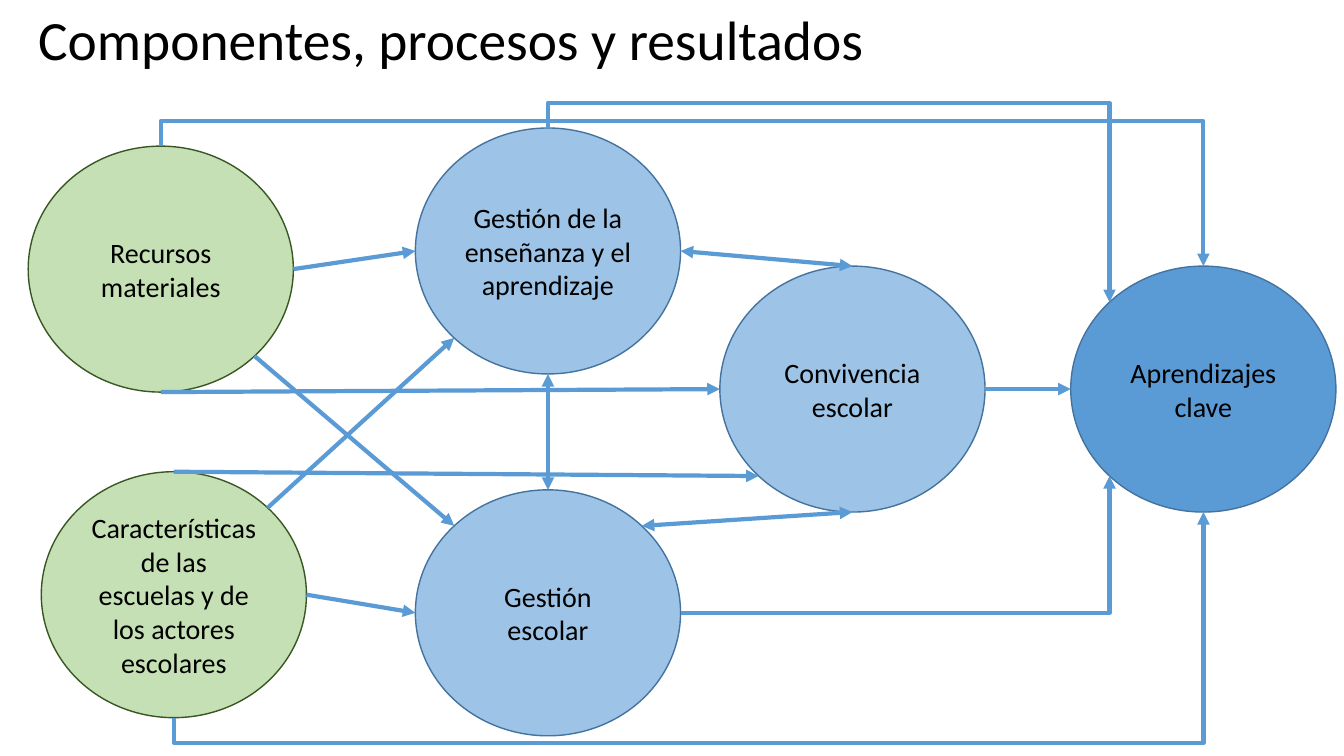
from math import cos, radians, sin

from lxml import etree
from pptx import Presentation
from pptx.dml.color import RGBColor
from pptx.enum.shapes import MSO_CONNECTOR, MSO_SHAPE
from pptx.enum.text import MSO_ANCHOR, PP_ALIGN
from pptx.oxml.ns import qn
from pptx.util import Inches, Pt

STRAIGHT, ELBOW = MSO_CONNECTOR.STRAIGHT, MSO_CONNECTOR.ELBOW
OVAL = MSO_SHAPE.OVAL
MIDDLE = MSO_ANCHOR.MIDDLE
CENTER = PP_ALIGN.CENTER

BLACK = RGBColor(0x00, 0x00, 0x00)
BLUE = RGBColor(0x5B, 0x9B, 0xD5)
LIGHT_BLUE = RGBColor(0x9D, 0xC3, 0xE6)
DARK_BLUE = RGBColor(0x43, 0x73, 0x9E)
LIGHT_GREEN = RGBColor(0xC5, 0xE0, 0xB4)
DARK_GREEN = RGBColor(0x38, 0x57, 0x23)

FONT = "Calibri"
OVAL_W, OVAL_H = 2.63, 2.44
DETOUR = 0.25

ANGLES = {"right": 0, "bottom right": 45, "bottom": 90, "bottom left": 135,
          "left": 180, "top left": 225, "top": 270, "top right": 315}

OVALS = {
    "learning": (10.62, 2.64, "Aprendizajes clave", BLUE, DARK_BLUE),
    "teaching": (4.12, 1.27, "Gestión de la enseñanza y el aprendizaje",
                 LIGHT_BLUE, DARK_BLUE),
    "management": (4.12, 4.86, "Gestión escolar", LIGHT_BLUE, DARK_BLUE),
    "coexistence": (7.14, 2.64, "Convivencia escolar", LIGHT_BLUE, DARK_BLUE),
    "features": (0.41, 4.68,
                 "Características de las escuelas y de los actores escolares",
                 LIGHT_GREEN, DARK_GREEN),
    "resources": (0.28, 1.45, "Recursos materiales", LIGHT_GREEN, DARK_GREEN),
}

ONE_WAY = [
    ("resources", "right", "teaching", "left"),
    ("features", "right", "management", "left"),
    ("resources", "bottom right", "management", "top left"),
    ("features", "top right", "teaching", "bottom left"),
    ("features", "top", "coexistence", "bottom left"),
    ("resources", "bottom", "coexistence", "left"),
    ("coexistence", "right", "learning", "left"),
]
TWO_WAY = [
    ("teaching", "right", "coexistence", "top"),
    ("management", "top right", "coexistence", "bottom"),
    ("management", "top", "teaching", "bottom"),
]
DETOURS = [
    ("resources", "top", "learning", "top"),
    ("features", "bottom", "learning", "bottom"),
    ("teaching", "top", "learning", "top left"),
]
CORNER = ("management", "right", "learning", "bottom left")


def site(name, side):
    x, y = OVALS[name][:2]
    angle = radians(ANGLES[side])
    return (x + OVAL_W / 2 * (1 + cos(angle)),
            y + OVAL_H / 2 * (1 + sin(angle)))


def add_title(s, box):
    tf = s.shapes.add_textbox(*map(Inches, box)).text_frame
    tf.word_wrap = True
    tf.vertical_anchor = MIDDLE
    p = tf.paragraphs[0]
    p.text = "Componentes, procesos y resultados"
    p.line_spacing = 0.9
    p.font.name, p.font.size = FONT, Pt(39.6)
    p.font.color.rgb = BLACK


def add_oval(s, x, y, text, fill, line):
    sp = s.shapes.add_shape(OVAL, *map(Inches, (x, y, OVAL_W, OVAL_H)))
    sp.shadow.inherit = False
    sp.fill.solid()
    sp.fill.fore_color.rgb = fill
    sp.line.color.rgb = line
    sp.line.width = Pt(1)
    tf = sp.text_frame
    tf.word_wrap = True
    tf.vertical_anchor = MIDDLE
    p = tf.paragraphs[0]
    p.text = text
    p.alignment = CENTER
    p.font.name, p.font.size = FONT, Pt(20)
    p.font.color.rgb = BLACK


def add_arrow(s, link, kind=STRAIGHT, ends=("tailEnd",)):
    start, end = site(*link[:2]), site(*link[2:])
    cxn = s.shapes.add_connector(kind, *map(Inches, start + end))
    cxn.line.color.rgb = BLUE
    cxn.line.width = Pt(3)
    ln = cxn.line._ln
    for tag in ends:
        etree.SubElement(ln, qn("a:" + tag), type="triangle")
    etree.SubElement(cxn._element.spPr, qn("a:effectLst"))
    return cxn


def add_corner(s, link):
    cxn = add_arrow(s, link, ELBOW)
    cxn._element.spPr.find(qn("a:prstGeom")).set("prst", "bentConnector2")


def add_detour(s, link):
    cxn = add_arrow(s, link, ELBOW)
    (x1, y1), (x2, y2) = site(*link[:2]), site(*link[2:])
    w, h = abs(y2 - y1), abs(x2 - x1)
    cxn.left, cxn.top = Inches((x1 + x2 - w) / 2), Inches((y1 + y2 - h) / 2)
    cxn.width, cxn.height = Inches(w), Inches(h)
    upward = y2 < y1
    spPr = cxn._element.spPr
    xfrm = spPr.find(qn("a:xfrm"))
    xfrm.set("rot", str((90 if upward else 270) * 60000))
    xfrm.set("flipH", "1")
    xfrm.set("flipV", "1" if upward else "0")
    geom = spPr.find(qn("a:prstGeom"))
    av = geom.find(qn("a:avLst"))
    if av is None:
        av = etree.SubElement(geom, qn("a:avLst"))
    etree.SubElement(av, qn("a:gd"), name="adj1",
                     fmla=f"val {round(-DETOUR / w * 100000)}")


def add_diagram(s):
    for oval in OVALS.values():
        add_oval(s, *oval)
    for link in ONE_WAY:
        add_arrow(s, link)
    for link in DETOURS:
        add_detour(s, link)
    add_corner(s, CORNER)
    for link in TWO_WAY:
        add_arrow(s, link, ends=("headEnd", "tailEnd"))


def main():
    prs = Presentation()
    prs.slide_width, prs.slide_height = Inches(13.33), Inches(7.5)
    s = prs.slides.add_slide(prs.slide_layouts[6])
    add_diagram(s)
    add_title(s, (0.28, 0.08, 12.78, 0.68))
    prs.save("out.pptx")


if __name__ == "__main__":
    main()
